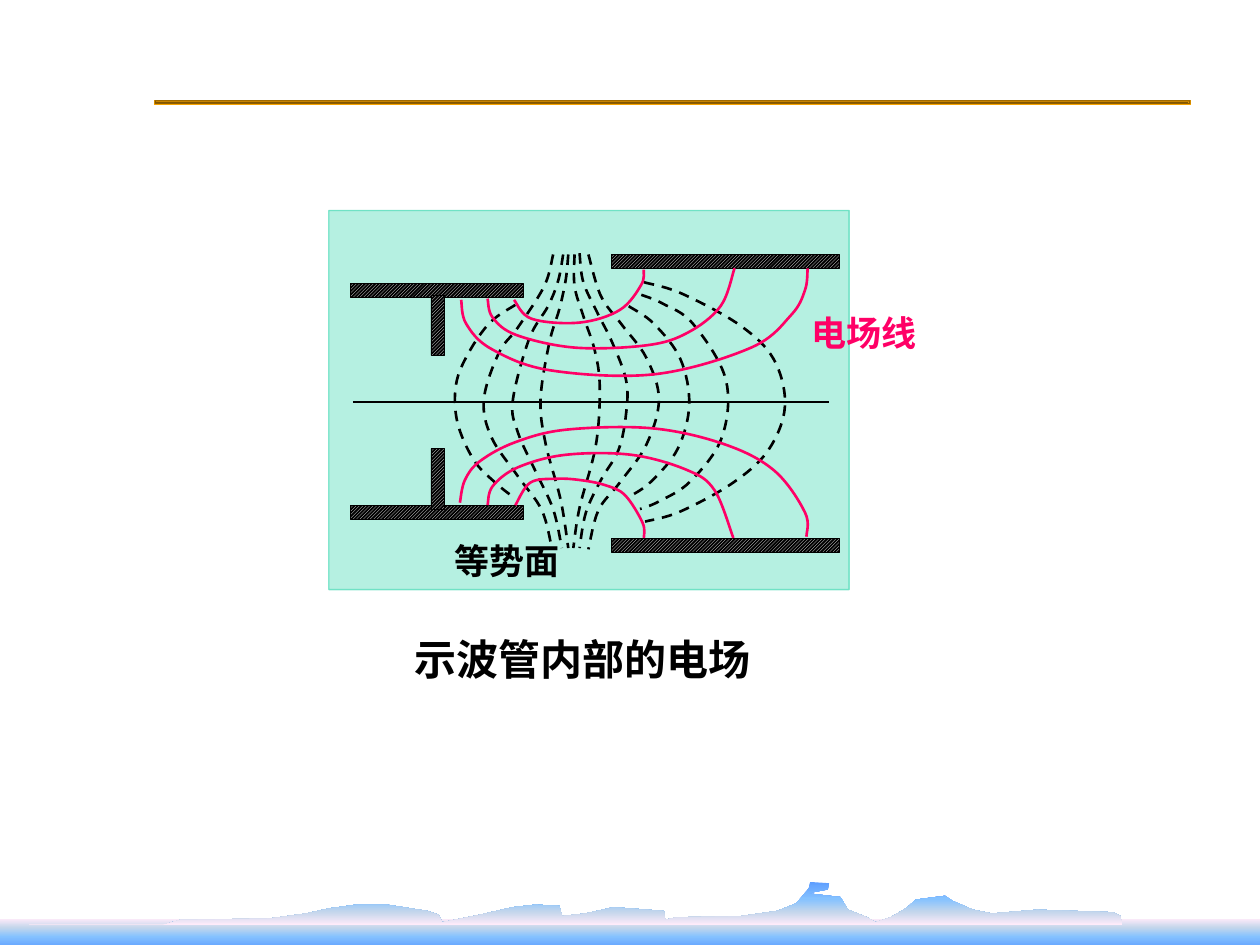
import lxml.etree
import pptx
import pptx.dml.color
import pptx.enum.dml
import pptx.enum.shapes
import pptx.enum.text
import pptx.oxml
import pptx.util
from pptx.oxml.ns import nsdecls, qn

Inches = pptx.util.Inches
COLORS = {"black": "000000", "white": "FFFFFF", "panel": "00CC99", "field": "FF0066", "gold": "FFA800",
          "brown": "825600", "pink": "FFEBFA", "mist": "C4D6EB", "sky": "85C2FF", "blue": "5E9EFF"}
GOLD_STOPS = [(position, "gold" if index % 2 else "brown")
              for index, position in enumerate((0, 13, 28, 43, 58, 72, 87, 100))]
WATER_STOPS = [(0, "pink"), (30, "mist"), (60, "sky"), (100, "blue")]
SKYLINE_STOPS = [(0, "blue"), (40, "sky"), (70, "mist"), (100, "pink")]
SKYLINE = [
    (0, .35), (1.07, .35), (1.2, .31), (1.91, .3), (2.2, .26), (2.38, .22), (2.6, .19), (2.84, .19),
    (3.16, .24), (3.25, .27), (3.28, .33), (3.58, .27), (3.84, .21), (4.02, .19), (4.21, .2), (4.23, .28),
    (4.42, .26), (4.64, .21), (5.04, .24), (5.05, .31), (5.14, .29), (5.66, .28), (5.94, .24), (6.09, .18),
    (6.19, .06), (6.2, .01), (6.35, .02), (6.34, .07), (6.18, .1), (6.44, .13), (6.5, .23), (6.65, .29),
    (6.72, .33), (6.84, .29), (6.96, .22), (7.04, .15), (7.27, .12), (7.33, .16), (7.49, .23), (7.64, .26),
    (8, .23), (8.6, .25), (8.66, .28), (8.68, .35)]
EQUIPOTENTIALS = [
    [(1.48, .75), (1.28, .89), (1.11, 1.13), (1.01, 1.38), (1.02, 1.68), (1.15, 1.98), (1.32, 2.16), (1.47, 2.28)],
    [(1.78, .35), (1.71, .6), (1.5, .93), (1.35, 1.13), (1.23, 1.5), (1.29, 1.8), (1.5, 2.11), (1.69, 2.38),
     (1.77, 2.68)],
    [(1.86, .35), (1.82, .56), (1.74, .76), (1.59, 1.02), (1.46, 1.51), (1.5, 1.76), (1.64, 2.07), (1.78, 2.37),
     (1.85, 2.68)],
    [(1.9, .35), (1.88, .55), (1.83, .78), (1.75, 1.05), (1.68, 1.5), (1.72, 1.85), (1.84, 2.3), (1.9, 2.68)],
    [(1.95, .35), (1.95, .6), (2.02, .84), (2.11, 1.11), (2.15, 1.4), (2.12, 1.86), (1.99, 2.36), (1.94, 2.68)],
    [(1.99, .34), (2.02, .57), (2.13, .81), (2.25, 1.05), (2.36, 1.35), (2.36, 1.61), (2.3, 1.9), (2.16, 2.14),
     (2.04, 2.4), (1.99, 2.68)],
    [(2.06, .35), (2.16, .68), (2.32, .9), (2.52, 1.17), (2.62, 1.5), (2.52, 1.86), (2.31, 2.16), (2.14, 2.38),
     (2.06, 2.69)],
    [(2.38, .76), (2.58, .9), (2.79, 1.18), (2.86, 1.54), (2.77, 1.89), (2.56, 2.15), (2.39, 2.27)],
    [(2.48, .67), (2.65, .74), (2.89, .9), (3.15, 1.34), (3.12, 1.8), (2.87, 2.15), (2.62, 2.31), (2.47, 2.37)],
    [(2.5, .57), (2.8, .66), (3.26, .91), (3.53, 1.18), (3.62, 1.55), (3.49, 1.9), (3.21, 2.16), (2.79, 2.39),
     (2.51, 2.47)]]
FIELD_LINES = [
    [(1.47, .71), (1.61, .86), (1.99, .89), (2.31, .79), (2.48, .59), (2.5, .47)],
    [(1.26, .7), (1.3, .85), (1.49, .99), (1.96, 1.09), (2.53, 1.07), (2.85, .97), (3.11, .76), (3.22, .46)],
    [(1.05, .71), (1.09, .9), (1.29, 1.1), (1.76, 1.27), (2.59, 1.3), (3.35, 1.09), (3.67, .83), (3.78, .63),
     (3.8, .46)],
    [(1.04, 2.32), (1.08, 2.14), (1.2, 1.99), (1.48, 1.84), (1.89, 1.74), (2.57, 1.73), (3.15, 1.86), (3.54, 2.07),
     (3.78, 2.4), (3.79, 2.59)],
    [(1.26, 2.34), (1.3, 2.19), (1.5, 2.04), (1.88, 1.94), (2.4, 1.94), (2.84, 2.06), (3.06, 2.22), (3.21, 2.6)],
    [(1.48, 2.34), (1.6, 2.16), (1.81, 2.13), (1.99, 2.14), (2.19, 2.18), (2.35, 2.26), (2.49, 2.48), (2.5, 2.6)]]
PLATES = [(2.24, .35, 1.81, .11), (2.24, 2.6, 1.81, .11), (.17, .58, 1.37, .11),
          (.17, 2.34, 1.37, .11), (.81, 1.89, .11, .48), (.81, .67, .11, .48)]


def rgb(name):
    """Return the named colour as an RGBColor."""
    return pptx.dml.color.RGBColor.from_string(COLORS[name])


def set_gradient(shape, stops, direction):
    """Fill a shape with gradient stops and the given direction element."""
    shape.fill.background()
    stop_xml = "".join(f'<a:gs pos="{position * 1000}"><a:srgbClr val="{COLORS[name]}"/></a:gs>'
                       for position, name in stops)
    gradient = pptx.oxml.parse_xml(f'<a:gradFill {nsdecls("a")} rotWithShape="1">'
                                   f'<a:gsLst>{stop_xml}</a:gsLst>{direction}</a:gradFill>')
    properties = shape.element.spPr
    properties.replace(properties.find(qn("a:noFill")), gradient)


def set_line(shape, color, width):
    """Give a shape or connector a plain line."""
    shape.line.color.rgb = rgb(color)
    shape.line.width = pptx.util.Pt(width)


def add_rectangle(slide, left, top, width, height):
    """Add a rectangle without shadow or line."""
    shape = slide.shapes.add_shape(pptx.enum.shapes.MSO_SHAPE.RECTANGLE, Inches(left),
                                   Inches(top), Inches(width), Inches(height))
    shape.shadow.inherit = False
    shape.line.fill.background()
    return shape


def add_outline(slide, left, top, points, close):
    """Add a freeform through points measured from left and top."""
    placed = [(Inches(left + x), Inches(top + y)) for x, y in points]
    builder = slide.shapes.build_freeform(*placed[0])
    builder.add_line_segments(placed[1:], close=close)
    shape = builder.convert_to_shape()
    shape.shadow.inherit = False
    return shape


def smooth(shape):
    """Turn the straight segments of a freeform into Catmull-Rom curves."""
    points = [(int(point.get("x")), int(point.get("y"))) for point in shape.element.spPr.iter(qn("a:pt"))]
    padded = [points[0], *points, points[-1]]
    segments = list(shape.element.spPr.iter(qn("a:lnTo")))
    for segment, a, b, c, d in zip(segments, padded, padded[1:], padded[2:], padded[3:]):
        curve = lxml.etree.Element(qn("a:cubicBezTo"))
        first = [q + (r - p) / 6 for p, q, r in zip(a, b, c)]
        second = [q - (r - p) / 6 for p, q, r in zip(b, c, d)]
        for x, y in (first, second, c):
            lxml.etree.SubElement(curve, qn("a:pt"), x=str(round(x)), y=str(round(y)))
        segment.getparent().replace(segment, curve)


def add_curve(slide, left, top, points, color):
    """Add a smooth open curve."""
    shape = add_outline(slide, left, top, points, close=False)
    smooth(shape)
    shape.fill.background()
    set_line(shape, color, 1.5)
    return shape


def add_label(slide, left, top, width, height, text, size, color):
    """Add a bold one-line label and return its paragraph."""
    frame = slide.shapes.add_textbox(Inches(left), Inches(top), Inches(width), Inches(height)).text_frame
    frame.word_wrap = True
    paragraph = frame.paragraphs[0]
    paragraph.text = text
    paragraph.font.name = "Times New Roman"
    paragraph.font.size = pptx.util.Pt(size)
    paragraph.font.bold = True
    paragraph.font.color.rgb = rgb(color)
    return paragraph


def add_backdrop(slide, left, top, width, height):
    """Add the gold rule, the water and the skyline."""
    rule = add_rectangle(slide, left + 1.22, top + .79, width - 1.77, .04)
    set_gradient(rule, GOLD_STOPS, '<a:path path="rect"><a:fillToRect l="50000" t="50000" '
                                   'r="50000" b="50000"/></a:path>')
    downward = '<a:lin ang="5400000" scaled="1"/>'
    water = add_rectangle(slide, left, top + height - .21, width, .24)
    set_gradient(water, WATER_STOPS, downward)
    skyline = add_outline(slide, left + .23, top + height - .51, SKYLINE, close=True)
    skyline.line.fill.background()
    set_gradient(skyline, SKYLINE_STOPS, downward)


def add_field_diagram(slide, left, top, width, height):
    """Add the panel with equipotentials, electrodes, field lines and axis."""
    panel = add_rectangle(slide, left, top, width, height)
    panel.fill.solid()
    panel.fill.fore_color.rgb = rgb("panel")
    set_line(panel, "panel", .75)
    for color, opacity in zip(list(panel.element.spPr.iter(qn("a:srgbClr"))), (29, 46)):
        lxml.etree.SubElement(color, qn("a:alpha"), val=str(opacity * 1000))
    for points in EQUIPOTENTIALS:
        add_curve(slide, left, top, points, "black").line.dash_style = pptx.enum.dml.MSO_LINE.DASH
    for x, y, plate_width, plate_height in PLATES:
        plate = add_rectangle(slide, left + x, top + y, plate_width, plate_height)
        plate.fill.patterned()
        plate.fill.pattern = pptx.enum.dml.MSO_PATTERN.DARK_UPWARD_DIAGONAL
        plate.fill.fore_color.rgb = rgb("white")
        plate.fill.back_color.rgb = rgb("black")
        set_line(plate, "black", .25)
    for points in FIELD_LINES:
        add_curve(slide, left, top, points, "field")
    axis_y = Inches(top + 1.52)
    axis = slide.shapes.add_connector(pptx.enum.shapes.MSO_CONNECTOR.STRAIGHT, Inches(left + .19), axis_y,
                                      Inches(left + width - .16), axis_y)
    set_line(axis, "black", 1.5)
    lxml.etree.SubElement(axis.element.spPr, qn("a:effectLst"))
    add_label(slide, left + 3.73, top + .75, 1.34, .43, "电场线", 20, "field")
    add_label(slide, left + .9, top + 2.56, 1.18, .43, "等势面", 20, "black")


def main():
    """Build and save the slide."""
    presentation = pptx.Presentation()
    presentation.slide_width, presentation.slide_height = Inches(10), Inches(7.5)
    slide = presentation.slides.add_slide(presentation.slide_layouts[6])
    add_backdrop(slide, 0, 0, 10, 7.5)
    caption = add_label(slide, 2.59, 4.98, 4.06, .5, "示波管内部的电场", 24, "black")
    caption.alignment = pptx.enum.text.PP_ALIGN.CENTER
    add_field_diagram(slide, 2.61, 1.67, 4.13, 3.01)
    presentation.save("out.pptx")


if __name__ == "__main__":
    main()
